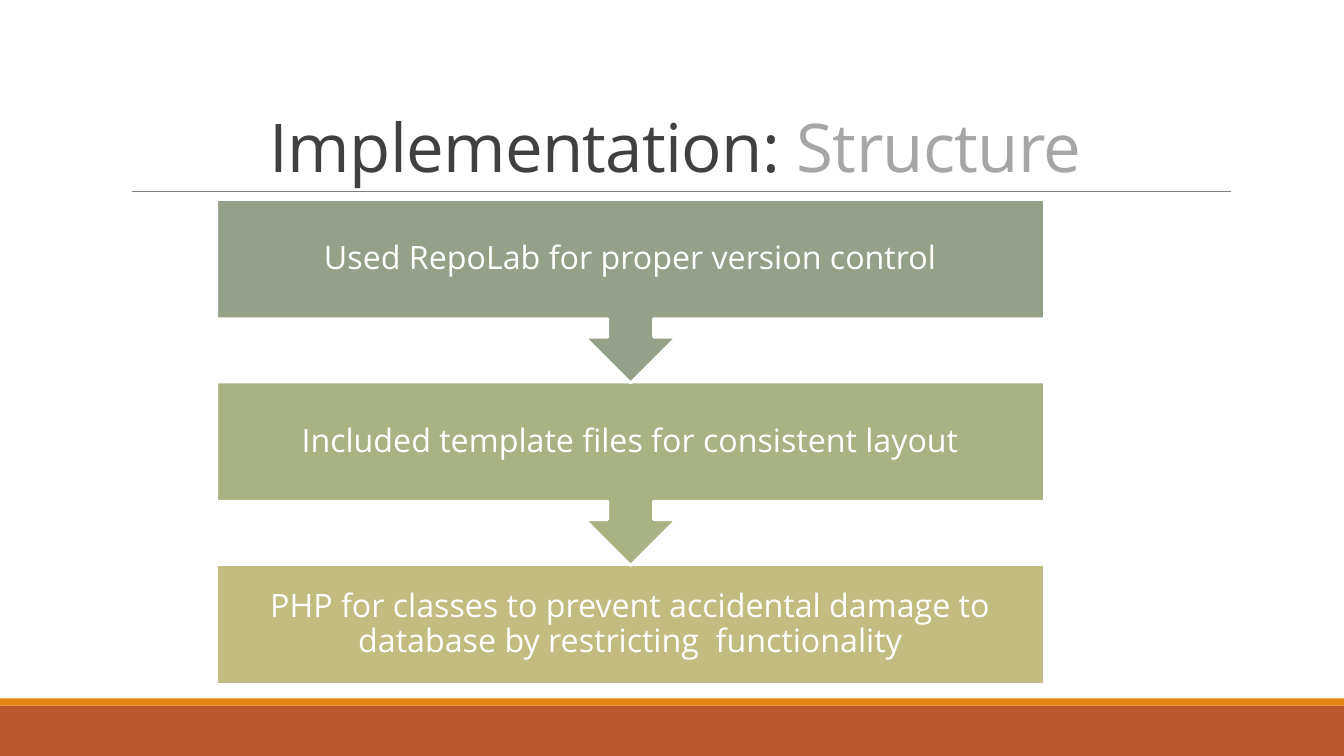
"""Build a slide showing the implementation structure as a three-step flow."""
from lxml.etree import SubElement
from pptx import Presentation
from pptx.dml.color import RGBColor
from pptx.enum.shapes import MSO_CONNECTOR, MSO_SHAPE
from pptx.enum.text import MSO_ANCHOR, PP_ALIGN
from pptx.oxml.ns import qn
from pptx.util import Inches, Pt

WHITE = RGBColor(0xFF, 0xFF, 0xFF)
DARK_GRAY = RGBColor(0x40, 0x40, 0x40)
RULE_GRAY = RGBColor(0x80, 0x80, 0x80)
LIGHT_GRAY = RGBColor(0xA6, 0xA6, 0xA6)
RUST = RGBColor(0xBD, 0x58, 0x2C)
ORANGE = RGBColor(0xE4, 0x83, 0x12)
SAGE = RGBColor(0x94, 0xA0, 0x88)
OLIVE = RGBColor(0xA8, 0xB2, 0x83)
SAND = RGBColor(0xC2, 0xBC, 0x80)

STEPS = [
    ("Used RepoLab for proper version control", SAGE),
    ("Included template files for consistent layout", OLIVE),
    ("PHP for classes to prevent accidental damage to database by restricting  functionality", SAND),
]
FIRST_TOP, STEP_PITCH = 1.98, 1.81
CALLOUT_HEIGHT, BOX_HEIGHT = 1.82, 1.19


def add_run(paragraph, text, *, size, color, font="Open Sans", spacing=None):
    run = paragraph.add_run()
    run.text = text
    run.font.name = font
    run.font.size = Pt(size)
    run.font.color.rgb = color
    if spacing is not None:
        run.font._element.set("spc", str(round(spacing * 100)))


class SlideBuilder:
    def __init__(self, presentation):
        self.slide = presentation.slides.add_slide(presentation.slide_layouts[5])
        self.title_size = 48
        self.step_size = 23
        self.step_margin = Inches(0.18)

    def format_frame(self, frame, anchor, line_spacing, margin=None):
        frame.word_wrap = True
        frame.vertical_anchor = anchor
        if margin is not None:
            frame.margin_left = frame.margin_right = margin
            frame.margin_top = frame.margin_bottom = margin
        paragraph = frame.paragraphs[0]
        paragraph.alignment = PP_ALIGN.CENTER
        paragraph.line_spacing = line_spacing
        return paragraph

    def title(self, parts, left, top, width, height):
        title = self.slide.shapes.title
        title.left, title.top = Inches(left), Inches(top)
        title.width, title.height = Inches(width), Inches(height)
        paragraph = self.format_frame(title.text_frame, MSO_ANCHOR.BOTTOM, 0.85)
        for text, color in parts:
            add_run(paragraph, text, size=self.title_size, color=color, spacing=-0.5)

    def block(self, kind, left, top, width, height, fill):
        shape = self.slide.shapes.add_shape(
            kind, Inches(left), Inches(top), Inches(width), Inches(height))
        shape.shadow.inherit = False
        shape.fill.solid()
        shape.fill.fore_color.rgb = fill
        shape.line.fill.background()
        return shape

    def step(self, kind, top, height, text, fill):
        shape = self.block(kind, 2.15, top, 8.21, height, fill)
        shape.line.color.rgb = WHITE
        shape.line.width = Pt(2)
        paragraph = self.format_frame(
            shape.text_frame, MSO_ANCHOR.MIDDLE, 0.9, self.step_margin)
        add_run(paragraph, text, size=self.step_size, color=WHITE)

    def rule(self, left, right, y):
        connector = self.slide.shapes.add_connector(
            MSO_CONNECTOR.STRAIGHT, Inches(left), Inches(y), Inches(right), Inches(y))
        connector.line.color.rgb = RULE_GRAY
        connector.line.width = Pt(0.5)
        SubElement(connector._element.spPr, qn("a:effectLst"))


def main():
    presentation = Presentation()
    presentation.slide_width = Inches(13.33)
    presentation.slide_height = Inches(7.5)
    builder = SlideBuilder(presentation)

    builder.block(MSO_SHAPE.RECTANGLE, 0, 7, 13.33, 0.5, RUST)
    builder.block(MSO_SHAPE.RECTANGLE, 0, 6.93, 13.33, 0.07, ORANGE)
    builder.rule(1.31, 12.21, 1.9)
    builder.title([("Implementation: ", DARK_GRAY), ("Structure", LIGHT_GRAY)],
                  1.2, 0.31, 11, 1.59)

    last = len(STEPS) - 1
    for index, (text, fill) in reversed(list(enumerate(STEPS))):
        kind, height = MSO_SHAPE.DOWN_ARROW_CALLOUT, CALLOUT_HEIGHT
        if index == last:
            kind, height = MSO_SHAPE.RECTANGLE, BOX_HEIGHT
        builder.step(kind, FIRST_TOP + index * STEP_PITCH, height, text, fill)

    presentation.save("out.pptx")


if __name__ == "__main__":
    main()
